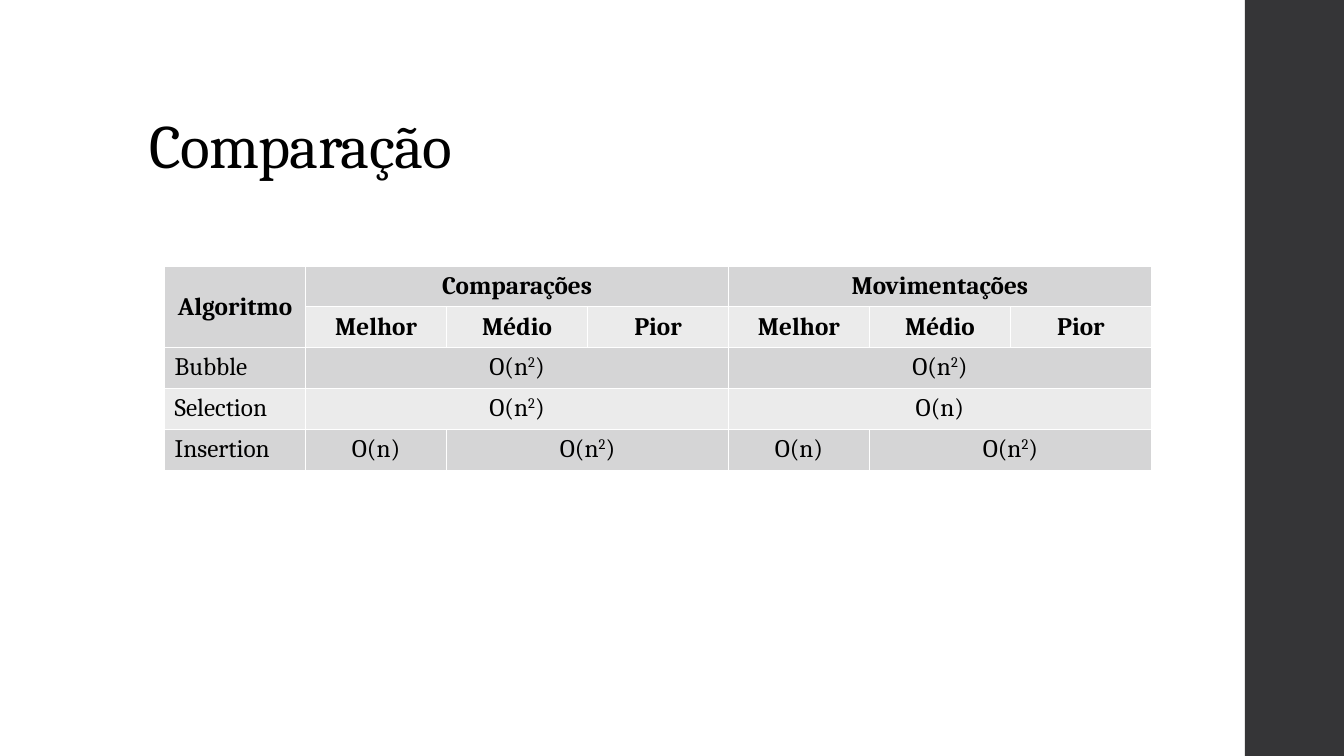
from dataclasses import dataclass

from lxml.etree import SubElement
from pptx import Presentation
from pptx.dml.color import RGBColor
from pptx.enum.shapes import MSO_SHAPE
from pptx.enum.text import MSO_ANCHOR, PP_ALIGN
from pptx.oxml.ns import qn
from pptx.util import Pt


@dataclass(frozen=True)
class Theme:
    font: str = "Cambria"
    ink: str = "000000"
    bar: str = "353537"
    rule: str = "FFFFFF"
    bands: tuple = ("D5D5D6", "EBEBEB")
    title: float = 44
    body: float = 18


THEME = Theme()
COL_W, ROW_H = 100.7, 29.2
HEADS = 2

# None continues the cell to its left, or the one above in the first column.
ROWS = [
    ["Algoritmo", "Comparações", None, None, "Movimentações", None, None],
    [None] + ["Melhor", "Médio", "Pior"] * 2,
    ["Bubble"] + ["O(n^2^)", None, None] * 2,
    ["Selection", "O(n^2^)", None, None, "O(n)", None, None],
    ["Insertion"] + ["O(n)", "O(n^2^)", None] * 2,
]


def color(code):
    return RGBColor.from_string(code)


def write(frame, text, size=THEME.body, bold=False, align=PP_ALIGN.LEFT,
          spacing=None, leading=None):
    """Fill a frame; text between carets is superscript."""
    para = frame.paragraphs[0]
    para.alignment = align
    if leading:
        para.line_spacing = leading
    for i, part in enumerate(text.split("^")):
        run = para.add_run()
        run.text = part
        font = run.font
        font.name, font.size, font.bold = THEME.font, Pt(size), bold
        font.color.rgb = color(THEME.ink)
        props = run._r.get_or_add_rPr()
        if i % 2:
            props.set("baseline", "30000")
        if spacing:
            props.set("spc", str(round(spacing * 100)))


def add_bar(slide, left, top, width, height):
    bar = slide.shapes.add_shape(
        MSO_SHAPE.RECTANGLE, Pt(left), Pt(top), Pt(width), Pt(height))
    bar.shadow.inherit = False
    bar.fill.solid()
    bar.fill.fore_color.rgb = color(THEME.bar)
    bar.line.fill.background()


def add_title(slide, text, left, top, width, height):
    frame = slide.shapes.add_textbox(
        Pt(left), Pt(top), Pt(width), Pt(height)).text_frame
    frame.word_wrap = True
    frame.vertical_anchor = MSO_ANCHOR.BOTTOM
    write(frame, text, size=THEME.title, spacing=-0.5, leading=0.9)


def style(cell, fill):
    props = cell._tc.get_or_add_tcPr()
    for side in "LRTB":
        line = SubElement(props, qn(f"a:ln{side}"), w=str(Pt(1)))
        paint = SubElement(line, qn("a:solidFill"))
        SubElement(paint, qn("a:srgbClr"), val=THEME.rule)
    cell.fill.solid()
    cell.fill.fore_color.rgb = color(fill)


def add_grid(slide, rows, left, top):
    count, width = len(rows), len(rows[0])
    table = slide.shapes.add_table(
        count, width, Pt(left), Pt(top),
        Pt(COL_W * width), Pt(ROW_H * count)).table
    for col in table.columns:
        col.width = Pt(COL_W)
    for r, row in enumerate(rows):
        table.rows[r].height = Pt(ROW_H)
        head = r < HEADS
        for c, text in enumerate(row):
            cell = table.cell(r, c)
            style(cell, THEME.bands[r % 2])
            if text is None:
                continue
            last = c
            while last + 1 < width and row[last + 1] is None:
                last += 1
            if last > c:
                cell.merge(table.cell(r, last))
            cell.vertical_anchor = MSO_ANCHOR.MIDDLE if head else MSO_ANCHOR.TOP
            write(cell.text_frame, text, bold=head,
                  align=PP_ALIGN.CENTER if head or c else PP_ALIGN.LEFT)
    table.cell(0, 0).merge(table.cell(HEADS - 1, 0))


def main():
    deck = Presentation()
    deck.slide_width, deck.slide_height = Pt(960), Pt(540)
    slide = deck.slides.add_slide(deck.slide_layouts[6])
    add_bar(slide, 889.2, 0, 72, 540)
    add_title(slide, "Comparação", 99.4, 28.8, 763.2, 104.4)
    add_grid(slide, ROWS, 117.6, 190)
    deck.save("out.pptx")


if __name__ == "__main__":
    main()
